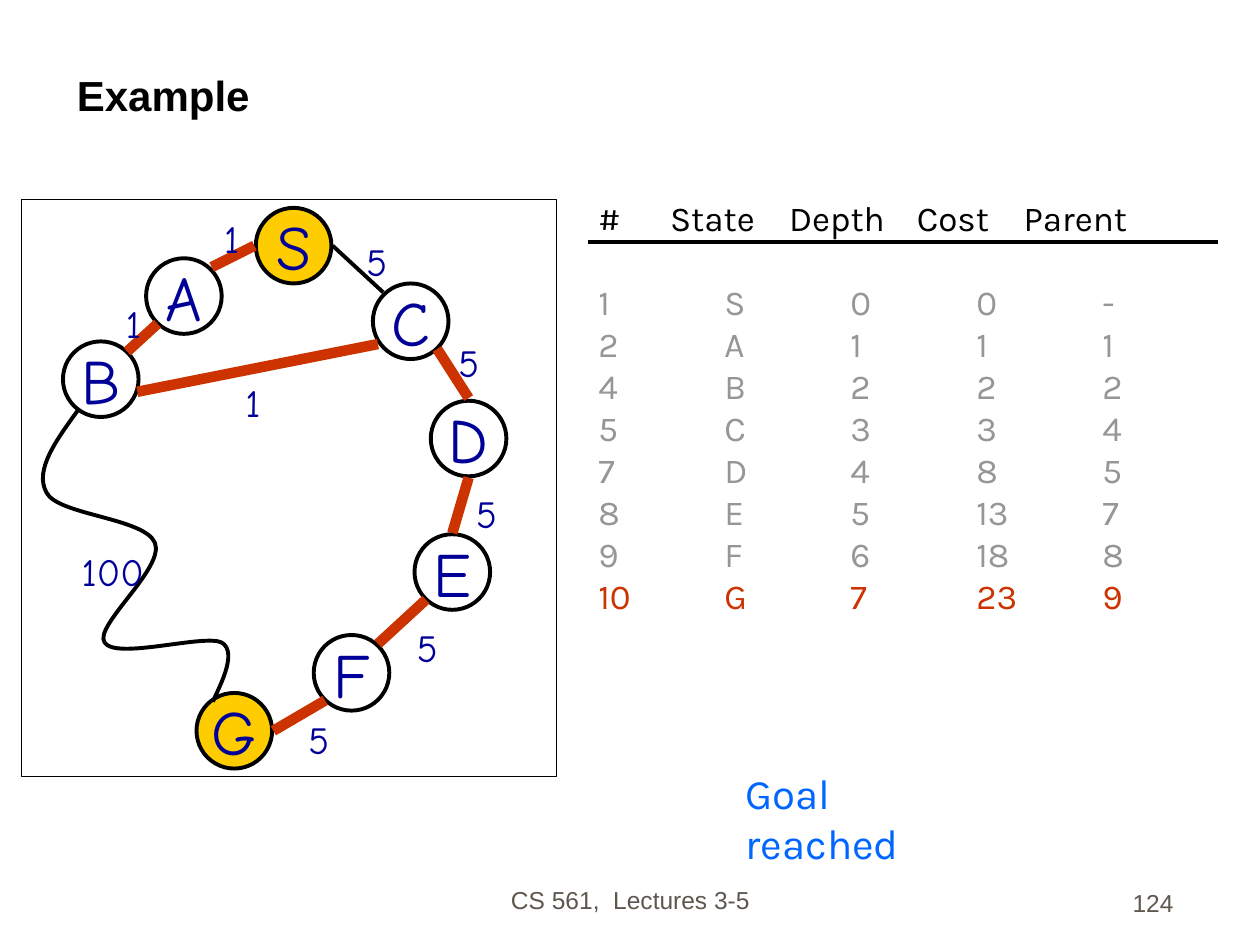
from lxml.etree import SubElement
from pptx import Presentation
from pptx.dml.color import RGBColor
from pptx.enum.shapes import MSO_CONNECTOR as Connector, MSO_SHAPE as Shape
from pptx.enum.text import MSO_ANCHOR as Anchor, PP_ALIGN as Align
from pptx.oxml.ns import qn
from pptx.util import Pt

COLORS = {
    "black": "000000", "white": "FFFFFF", "gold": "FFCC00", "navy": "000099",
    "red": "CC3300", "gray": "969696", "blue": "0066FF", "footer": "5E574E",
}
NODE_SIZE = 43.2
NODES = [
    ("G", 112.3, 396, "gold"), ("D", 246.2, 229, "white"),
    ("E", 236.9, 305.3, "white"), ("F", 179.3, 362.9, "white"),
    ("S", 146.2, 118.8, "gold"), ("A", 83.5, 147.6, "white"),
    ("C", 213.1, 162, "white"), ("B", 36, 195.1, "white"),
]
EDGES = [
    ((185.8, 400.3), (156.2, 417.6), "red", 6),
    ((249.8, 199.4), (267.8, 227.5), "red", 6),
    ((267.8, 272.9), (258.5, 304.6), "red", 6),
    ((243.4, 342.7), (216, 367.9), "red", 6),
    ((145.4, 140.4), (121, 152.6), "red", 6),
    ((190.1, 140.4), (218.9, 167), "black", 2.25),
    ((90, 185), (72.7, 200.9), "red", 6),
    ((78.5, 223.9), (216, 196.6), "red", 6),
]
HEADER_RULE = ((336.2, 138.2), (696.2, 138.2), "black", 2.25)
COSTS = [
    ("5", 169.2, 405.4), ("5", 254.9, 190.1), ("5", 265, 276.5),
    ("5", 231.1, 352.8), ("1", 121, 119.5), ("5", 202.3, 132.5),
    ("1", 64.8, 167.8), ("1", 133.2, 213.1), ("100", 39.6, 309.6),
]
COST_WIDTHS = {"1": 24.5, "5": 28, "100": 51}
LONG_PATH = [
    (45.4, 233.3),
    (32.4, 251.3), (19.4, 268.6), (26.6, 281.5),
    (33.1, 294.5), (82.8, 295.9), (88.6, 310.3),
    (94.3, 324.7), (53.3, 357.8), (59.8, 367.2),
    (66.2, 377.3), (116.6, 362.2), (126.7, 367.2),
    (136.8, 373), (123.8, 395.3), (121.7, 401),
]
HEADINGS = ["#", "State", "Depth", "Cost", "Parent"]
HEADING_STOPS = [41, 109, 182, 243]
ROW_STOPS = [72, 144, 216, 288]
STEPS = [
    ("1", "S", "0", "0", "-"), ("2", "A", "1", "1", "1"),
    ("4", "B", "2", "2", "2"), ("5", "C", "3", "3", "4"),
    ("7", "D", "4", "8", "5"), ("8", "E", "5", "13", "7"),
    ("9", "F", "6", "18", "8"), ("10", "G", "7", "23", "9"),
]


def rgb(color):
    return RGBColor.from_string(COLORS[color])


def write(paragraph, words, font, size, color, align=Align.LEFT, bold=False):
    paragraph.alignment = align
    run = paragraph.add_run()
    run.text = words
    run.font.name, run.font.size, run.font.bold = font, Pt(size), bold
    run.font.color.rgb = rgb(color)


def add_frame(slide, left, top, width, height, anchor=Anchor.TOP, wrap=True):
    frame = slide.shapes.add_textbox(Pt(left), Pt(top), Pt(width), Pt(height)).text_frame
    frame.word_wrap, frame.vertical_anchor = wrap, anchor
    return frame


def add_outlined(slide, kind, left, top, width, height, fill, weight):
    outlined = slide.shapes.add_shape(kind, Pt(left), Pt(top), Pt(width), Pt(height))
    outlined.shadow.inherit = False
    outlined.fill.solid()
    outlined.fill.fore_color.rgb = rgb(fill)
    outlined.line.color.rgb, outlined.line.width = rgb("black"), Pt(weight)
    return outlined


def add_edge(slide, start, end, color, weight):
    ends = [Pt(value) for value in (*start, *end)]
    edge = slide.shapes.add_connector(Connector.STRAIGHT, *ends)
    edge.line.color.rgb, edge.line.width = rgb(color), Pt(weight)
    SubElement(edge._element.spPr, qn("a:effectLst"))


def add_curve(slide, points):
    start, *controls = [(Pt(x), Pt(y)) for x, y in points]
    builder = slide.shapes.build_freeform(*start)
    builder.add_line_segments(controls, close=False)
    curve = builder.convert_to_shape()
    curve.shadow.inherit = False
    curve.fill.background()
    curve.line.color.rgb, curve.line.width = rgb("black"), Pt(2.25)
    outline = next(curve._element.iter(qn("a:path")))
    segments = outline.findall(qn("a:lnTo"))
    for first in range(0, len(segments), 3):
        bezier = SubElement(outline, qn("a:cubicBezTo"))
        for segment in segments[first:first + 3]:
            bezier.append(segment[0])
            outline.remove(segment)


def write_row(paragraph, cells, stops, color):
    write(paragraph, "\t".join(cells), "Karla", 20, color)
    tabs = SubElement(paragraph._p.get_or_add_pPr(), qn("a:tabLst"))
    for stop in stops:
        SubElement(tabs, qn("a:tab"), pos=str(Pt(stop)), algn="l")


def add_steps(slide):
    frame = add_frame(slide, 334.8, 108.7, 359.3, 273.6)
    heading = frame.paragraphs[0]
    heading.space_after = Pt(24)
    write_row(heading, HEADINGS, HEADING_STOPS, "black")
    for step in STEPS:
        color = "red" if step == STEPS[-1] else "gray"
        write_row(frame.add_paragraph(), step, ROW_STOPS, color)
    add_edge(slide, *HEADER_RULE)


def add_graph(slide):
    add_outlined(slide, Shape.RECTANGLE, 12.2, 113.8, 306, 329.8, "white", 0.75)
    for state, left, top, fill in NODES:
        node = add_outlined(slide, Shape.OVAL, left, top, NODE_SIZE, NODE_SIZE, fill, 2.25)
        frame = node.text_frame
        frame.word_wrap, frame.vertical_anchor = False, Anchor.MIDDLE
        write(frame.paragraphs[0], state, "Comic Neue", 36, "navy", Align.CENTER)
    add_curve(slide, LONG_PATH)
    for edge in EDGES:
        add_edge(slide, *edge)
    for cost, left, top in COSTS:
        frame = add_frame(slide, left, top, COST_WIDTHS[cost], 33.8, wrap=False)
        write(frame.paragraphs[0], cost, "Comic Neue", 22, "navy")


def main():
    """Build the search example slide with its graph and list of steps."""
    deck = Presentation()
    deck.slide_width, deck.slide_height = Pt(720), Pt(540)
    slide = deck.slides.add_slide(deck.slide_layouts[5])

    title = slide.shapes.title
    title.left, title.top, title.width, title.height = Pt(36.7), Pt(18), Pt(642), Pt(54)
    title.text_frame.vertical_anchor = Anchor.BOTTOM
    write(title.text_frame.paragraphs[0], "Example", "Arial", 24, "black", bold=True)

    add_graph(slide)
    add_steps(slide)
    goal = add_frame(slide, 419, 434.9, 136, 36)
    write(goal.paragraphs[0], "Goal reached", "Karla", 24, "blue")

    footer = add_frame(slide, 246.2, 490.3, 228.2, 36, Anchor.BOTTOM)
    write(footer.paragraphs[0], "CS 561,  Lectures 3-5", "Arial", 14, "footer", Align.CENTER)
    number = add_frame(slide, 527.8, 491.8, 149.8, 36, Anchor.BOTTOM)
    write(number.paragraphs[0], "124", "Arial", 14, "footer", Align.RIGHT)
    deck.save("out.pptx")


if __name__ == "__main__":
    main()
